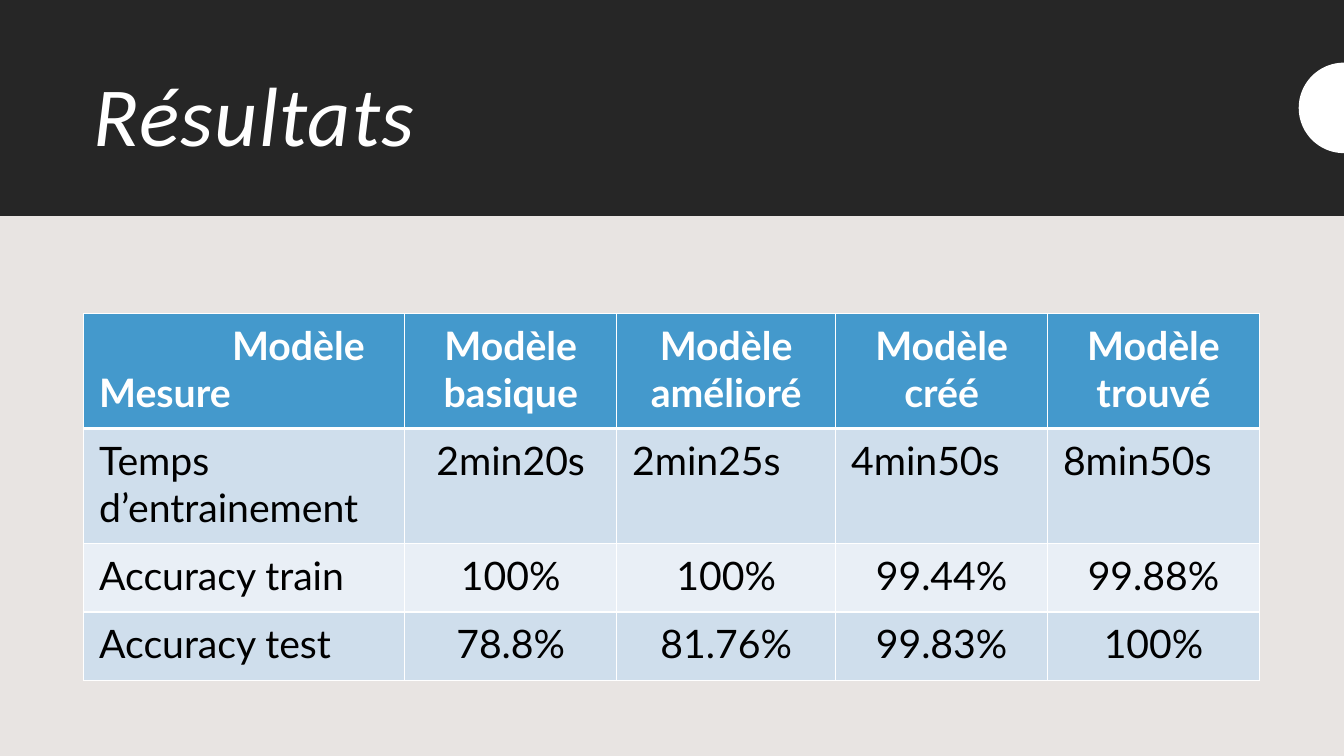
from math import cos, pi, sin
from lxml.etree import SubElement
from pptx import Presentation
from pptx.dml.color import RGBColor
from pptx.enum.shapes import MSO_SHAPE as Shape
from pptx.enum.text import MSO_ANCHOR as Anchor, PP_ALIGN as Align
from pptx.oxml.ns import qn
from pptx.util import Cm, Pt

HEADING = "Résultats"
RESULTS = [
    ("Modèle\nMesure", "Modèle basique", "Modèle amélioré", "Modèle créé", "Modèle trouvé"),
    ("Temps d’entrainement", "2min20s", "2min25s", "4min50s", "8min50s"),
    ("Accuracy train", "100%", "100%", "99.44%", "99.88%"),
    ("Accuracy test", "78.8%", "81.76%", "99.83%", "100%"),
]
LEFT_ALIGNED = {(1, 2), (1, 3), (1, 4)}
COLUMN_WIDTHS = (8.09, 5.34, 5.52, 5.34, 5.34)
ROW_HEIGHTS = (2.9, 2.9, 1.72, 1.72)

WHITE = RGBColor(0xFF, 0xFF, 0xFF)
BLACK = RGBColor(0, 0, 0)
CHARCOAL = RGBColor(0x26, 0x26, 0x26)
SAND = RGBColor(0xE8, 0xE4, 0xE2)
BLUE = RGBColor(0x44, 0x99, 0xCC)
DARK_BAND = RGBColor(0xCF, 0xDE, 0xEC)
LIGHT_BAND = RGBColor(0xE9, 0xEF, 0xF6)
ROW_FILLS = (BLUE, DARK_BAND, LIGHT_BAND, DARK_BAND)

SLIDE_WIDTH, SLIDE_HEIGHT = 33.87, 19.05
MARGIN = 2.11
NOTCH_MIDDLE, NOTCH_RADIUS, NOTCH_STEPS = 2.72, 1.14, 48


def paint(shape, color):
    shape.fill.solid()
    shape.fill.fore_color.rgb = color
    shape.line.fill.background()
    shape.shadow.inherit = False


def set_font(paragraph, name, size, color, bold=False, italic=False):
    for run in paragraph.runs:
        font = run.font
        font.name, font.size = name, Pt(size)
        font.bold, font.italic = bold, italic
        font.color.rgb = color


def add_borders(cell, row):
    widths = {"L": 1, "R": 1, "T": 3 if row == 1 else 1, "B": 3 if row == 0 else 1}
    properties = cell._tc.get_or_add_tcPr()
    for side, width in widths.items():
        border = SubElement(properties, qn(f"a:ln{side}"), w=str(Pt(width)))
        SubElement(SubElement(border, qn("a:solidFill")), qn("a:srgbClr"), val=str(WHITE))


deck = Presentation()
deck.slide_width, deck.slide_height = Cm(SLIDE_WIDTH), Cm(SLIDE_HEIGHT)
slide = deck.slides.add_slide(deck.slide_layouts[6])
slide.background.fill.solid()
slide.background.fill.fore_color.rgb = SAND
shapes = slide.shapes

banner = shapes.add_shape(Shape.RECTANGLE, 0, 0, Cm(SLIDE_WIDTH), Cm(5.44))
paint(banner, CHARCOAL)

title = shapes.add_textbox(Cm(MARGIN), Cm(1.17), Cm(29.63), Cm(3.68)).text_frame
title.word_wrap = True
title.vertical_anchor = Anchor.MIDDLE
title.text = HEADING
title.paragraphs[0].line_spacing = 0.9
set_font(title.paragraphs[0], "Calibri", 60, WHITE, italic=True)
title.paragraphs[0].runs[0].font._element.set("spc", "100")

arc = []
for step in range(NOTCH_STEPS + 1):
    angle = pi * step / NOTCH_STEPS
    arc.append((Cm(SLIDE_WIDTH - NOTCH_RADIUS * sin(angle)),
                Cm(NOTCH_MIDDLE - NOTCH_RADIUS * cos(angle))))
outline = shapes.build_freeform(*arc[0])
outline.add_line_segments(arc[1:], close=True)
paint(outline.convert_to_shape(), WHITE)

table = shapes.add_table(len(ROW_HEIGHTS), len(COLUMN_WIDTHS), Cm(MARGIN), Cm(7.9),
                         Cm(sum(COLUMN_WIDTHS)), Cm(sum(ROW_HEIGHTS))).table
for column, width in zip(table.columns, COLUMN_WIDTHS):
    column.width = Cm(width)
for r, (measures, height) in enumerate(zip(RESULTS, ROW_HEIGHTS)):
    table.rows[r].height = Cm(height)
    for c, value in enumerate(measures):
        cell = table.cell(r, c)
        cell.margin_left = cell.margin_right = Cm(0.39)
        cell.margin_top = cell.margin_bottom = Cm(0.2)
        add_borders(cell, r)
        cell.fill.solid()
        cell.fill.fore_color.rgb = ROW_FILLS[r]
        cell.text_frame.text = value
        for paragraph in cell.text_frame.paragraphs:
            left = c == 0 or (r, c) in LEFT_ALIGNED
            paragraph.alignment = Align.LEFT if left else Align.CENTER
            set_font(paragraph, "Lato", 28, WHITE if r == 0 else BLACK, bold=r == 0)

corner = table.cell(0, 0).text_frame.paragraphs[0]
corner._p.get_or_add_pPr().set("marL", str(Cm(3.35)))

deck.save("out.pptx")
